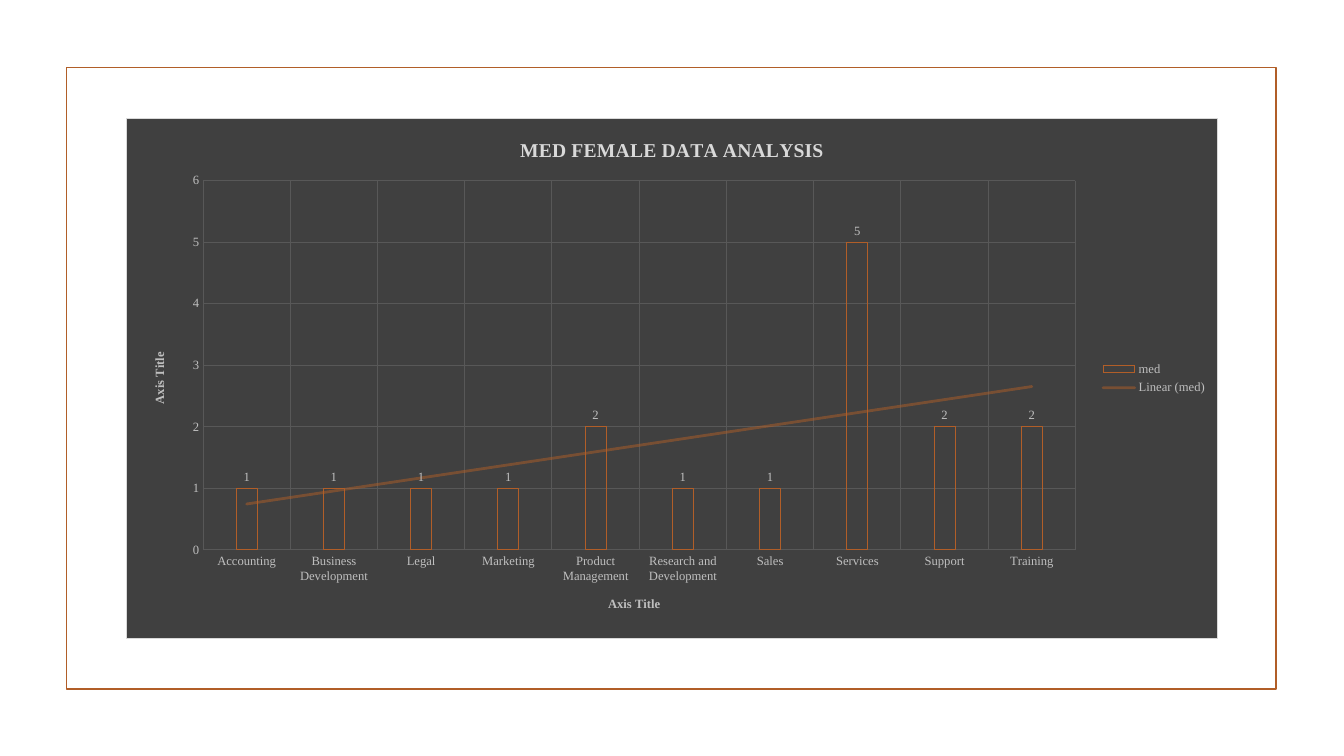
import pptx
import pptx.chart.data
import pptx.dml.color
import pptx.enum.chart
import pptx.enum.shapes
import pptx.oxml
import pptx.oxml.ns
import pptx.util

Cm, Pt = pptx.util.Cm, pptx.util.Pt
RGBColor = pptx.dml.color.RGBColor
qn = pptx.oxml.ns.qn

# Content
TITLE = "MED FEMALE DATA ANALYSIS"
AXIS_TITLE = "Axis Title"
SERIES_NAME = "med"
DEPARTMENTS = {
    "Accounting": 1,
    "Business Development": 1,
    "Legal": 1,
    "Marketing": 1,
    "Product Management": 2,
    "Research and Development": 1,
    "Sales": 1,
    "Services": 5,
    "Support": 2,
    "Training": 2,
}

# Style
FONT = "Times New Roman"
ORANGE = RGBColor(0xB1, 0x5E, 0x28)
CHARCOAL = RGBColor(0x40, 0x40, 0x40)
GRID = RGBColor(0x58, 0x58, 0x58)
SILVER = RGBColor(0xBF, 0xBF, 0xBF)
LIGHT = RGBColor(0xD9, 0xD9, 0xD9)

# Left, top, width, height
FRAME_BOX = (Cm(1.68), Cm(1.7), Cm(30.48), Cm(15.67))
CHART_BOX = (Cm(3.18), Cm(2.97), Cm(27.51), Cm(13.13))
PLOT_BOX = {"x": 0.07, "y": 0.12, "w": 0.8, "h": 0.71}  # shares of the chart

NAMESPACES = pptx.oxml.ns.nsdecls("c", "a")


def style_font(font, size, color, bold=False):
    font.name, font.size, font.bold = FONT, Pt(size), bold
    font.color.rgb = color


def add_title(owner, text, size, color):
    owner.has_title = True
    title = owner.chart_title if hasattr(owner, "chart_title") else owner.axis_title
    run = title.text_frame.paragraphs[0].add_run()
    run.text = text
    style_font(run.font, size, color, bold=True)


def style_axis(axis):
    add_title(axis, AXIS_TITLE, 9, SILVER)
    style_font(axis.tick_labels.font, 9, SILVER)
    axis.format.line.fill.background()
    axis.major_tick_mark = pptx.enum.chart.XL_TICK_MARK.NONE
    axis.minor_tick_mark = pptx.enum.chart.XL_TICK_MARK.NONE
    axis.has_major_gridlines = True
    axis.major_gridlines.format.line.color.rgb = GRID
    axis.major_gridlines.format.line.width = Pt(0.75)


def chart_background():
    return pptx.oxml.parse_xml(
        f'<c:spPr {NAMESPACES}><a:solidFill><a:srgbClr val="{CHARCOAL}"/></a:solidFill>'
        f'<a:ln w="{Pt(0.75)}"><a:solidFill><a:srgbClr val="{LIGHT}"/></a:solidFill></a:ln></c:spPr>')


def linear_trend():
    return pptx.oxml.parse_xml(
        f'<c:trendline {NAMESPACES}><c:spPr><a:ln w="{Pt(2)}" cap="rnd"><a:solidFill>'
        f'<a:srgbClr val="{ORANGE}"><a:alpha val="50000"/></a:srgbClr></a:solidFill></a:ln></c:spPr>'
        '<c:trendlineType val="linear"/><c:dispRSqr val="0"/><c:dispEq val="0"/></c:trendline>')


def plot_layout():
    modes = '<c:xMode val="edge"/><c:yMode val="edge"/>'
    places = "".join(f'<c:{key} val="{share}"/>' for key, share in PLOT_BOX.items())
    return pptx.oxml.parse_xml(
        f'<c:layout {NAMESPACES}><c:manualLayout><c:layoutTarget val="inner"/>'
        f'{modes}{places}</c:manualLayout></c:layout>')


presentation = pptx.Presentation()
presentation.slide_width, presentation.slide_height = Cm(33.87), Cm(19.05)
slide = presentation.slides.add_slide(presentation.slide_layouts[6])

# Frame
frame = slide.shapes.add_shape(pptx.enum.shapes.MSO_SHAPE.RECTANGLE, *FRAME_BOX)
frame.shadow.inherit = False
frame.fill.background()
frame.line.color.rgb = ORANGE
frame.line.width = Pt(1.25)

# Chart
data = pptx.chart.data.CategoryChartData()
data.categories = list(DEPARTMENTS)
data.add_series(SERIES_NAME, list(DEPARTMENTS.values()))
chart = slide.shapes.add_chart(
    pptx.enum.chart.XL_CHART_TYPE.COLUMN_CLUSTERED, *CHART_BOX, data).chart
style_font(chart.font, 10, SILVER)
add_title(chart, TITLE, 14, LIGHT)
style_axis(chart.category_axis)
style_axis(chart.value_axis)
chart.value_axis.minimum_scale = 0
chart.value_axis.maximum_scale = 6
chart.value_axis.major_unit = 1

# Legend
chart.has_legend = True
chart.legend.position = pptx.enum.chart.XL_LEGEND_POSITION.RIGHT
chart.legend.include_in_layout = False
style_font(chart.legend.font, 9, SILVER)

# Columns and their labels
plot = chart.plots[0]
plot.vary_by_categories = False
plot.gap_width, plot.overlap = 315, -40
columns = plot.series[0]
columns.format.fill.background()
columns.format.line.color.rgb = ORANGE
columns.format.line.width = Pt(0.75)
labels = columns.data_labels
labels.show_value = True
labels.position = pptx.enum.chart.XL_LABEL_POSITION.OUTSIDE_END
style_font(labels.font, 9, SILVER)

# Trend line, background, plot position and upright axis title
root = chart.element
next(root.iter(qn("c:cat"))).addprevious(linear_trend())
root.find(qn("c:chart")).addnext(chart_background())
plot_area = next(root.iter(qn("c:plotArea")))
for layout in plot_area.findall(qn("c:layout")):
    plot_area.remove(layout)
plot_area.insert(0, plot_layout())
value_title = plot_area.find(qn("c:valAx")).find(qn("c:title"))
body = next(value_title.iter(qn("a:bodyPr")))
body.set("rot", "-5400000")
body.set("vert", "horz")

presentation.save("out.pptx")
